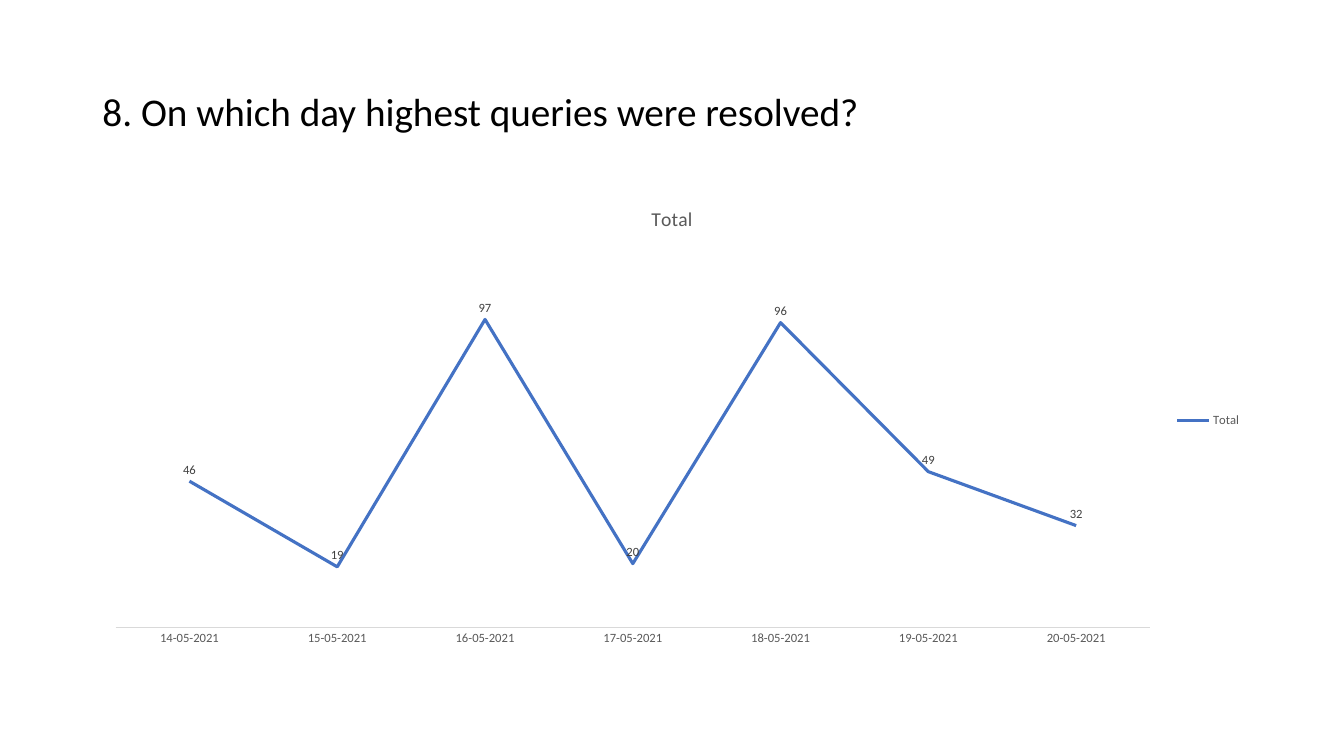
from pptx import Presentation
from pptx.chart.data import CategoryChartData as Data
from pptx.dml.color import RGBColor
from pptx.enum.chart import XL_CHART_TYPE as Kind, XL_LABEL_POSITION as Spot
from pptx.enum.chart import XL_LEGEND_POSITION as Side, XL_MARKER_STYLE as Mark
from pptx.enum.chart import XL_TICK_MARK as Tick
from pptx.enum.text import MSO_ANCHOR as Anchor, PP_ALIGN as Align
from pptx.util import Pt

LEFT, WIDTH = 66, 828
GREY = "595959"


def style(font, size, color):
    font.name = "Calibri"
    font.size = Pt(size)
    font.bold = False
    font.color.rgb = RGBColor.from_string(color)


deck = Presentation()
deck.slide_width, deck.slide_height = Pt(960), Pt(540)
slide = deck.slides.add_slide(deck.slide_layouts[5])

# Title
title = slide.shapes.title
title.left, title.top = Pt(LEFT), Pt(28.75)
title.width, title.height = Pt(WIDTH), Pt(104.4)
title.text_frame.text = "8. On which day highest queries were resolved?"
title.text_frame.vertical_anchor = Anchor.MIDDLE
para = title.text_frame.paragraphs[0]
para.alignment = Align.LEFT
para.line_spacing = 0.9
style(para.font, 28, "000000")

# Chart of queries resolved per day
data = Data()
data.categories = [f"{day}-05-2021" for day in range(14, 21)]
data.add_series("Total", [46, 19, 97, 20, 96, 49, 32])
chart = slide.shapes.add_chart(
    Kind.LINE, Pt(LEFT), Pt(133.2), Pt(WIDTH), Pt(334.8), data).chart
style(chart.font, 10, "000000")

# Chart title and legend
chart.has_title = True
head = chart.chart_title.text_frame
head.text = "Total"
style(head.paragraphs[0].font, 14, GREY)
chart.has_legend = True
chart.legend.position = Side.RIGHT
chart.legend.include_in_layout = False
style(chart.legend.font, 9, GREY)

# Axes
days = chart.category_axis
days.major_tick_mark = days.minor_tick_mark = Tick.NONE
days.format.line.color.rgb = RGBColor.from_string("D9D9D9")
days.format.line.width = Pt(0.75)
style(days.tick_labels.font, 9, GREY)
count = chart.value_axis
count.minimum_scale, count.maximum_scale = 0, 120
count.has_major_gridlines = False
count.visible = False

# Line and its value labels
plot = chart.plots[0]
plot.vary_by_categories = False
line = plot.series[0]
line.smooth = False
line.marker.style = Mark.NONE
line.format.line.color.rgb = RGBColor.from_string("4472C4")
line.format.line.width = Pt(2.25)
labels = line.data_labels
labels.show_value = True
labels.position = Spot.ABOVE
style(labels.font, 9, "404040")

deck.save("out.pptx")
